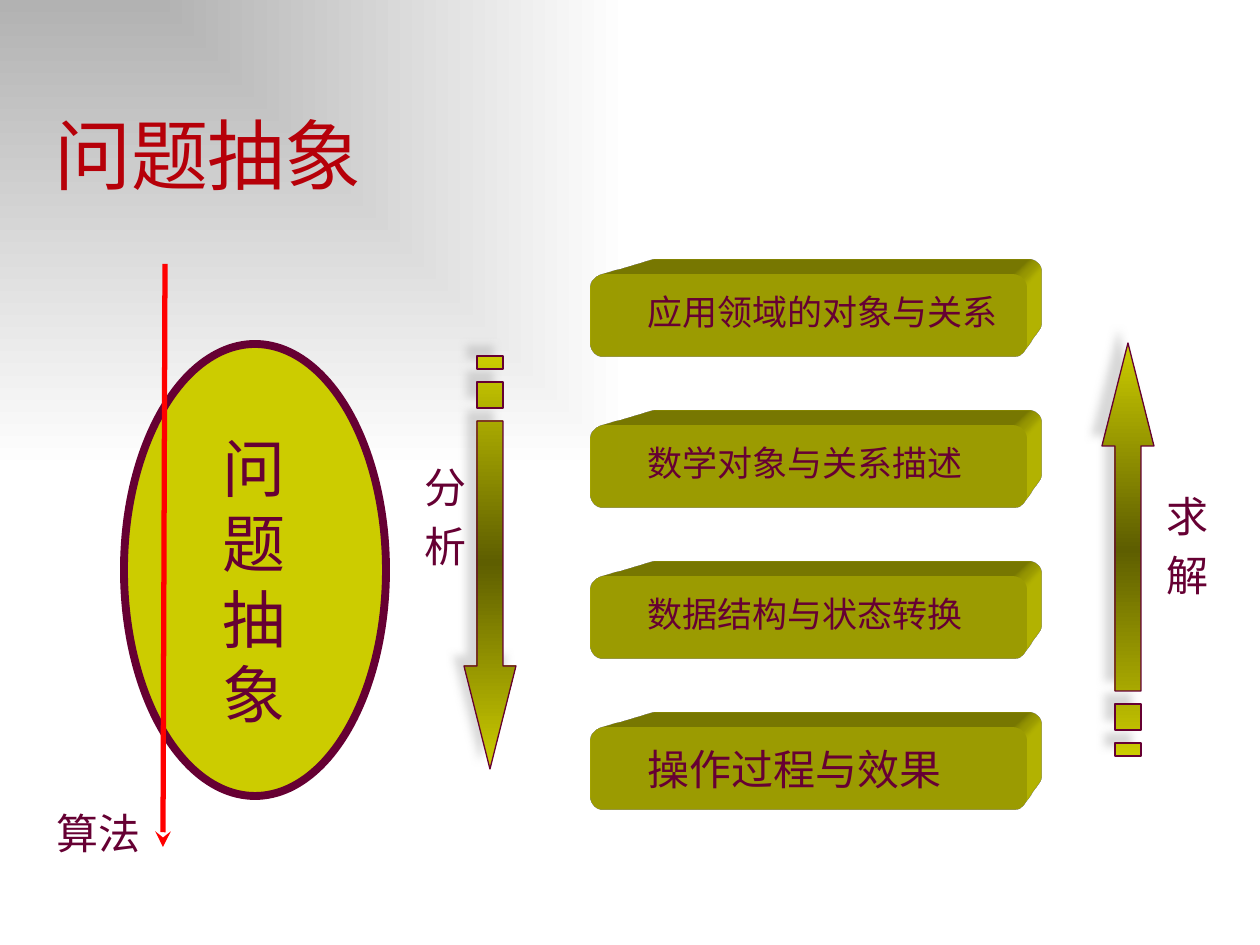
from pptx import Presentation
from pptx.dml.color import RGBColor
from pptx.enum.shapes import MSO_CONNECTOR, MSO_SHAPE
from pptx.enum.text import MSO_ANCHOR, MSO_AUTO_SIZE, PP_ALIGN
from pptx.oxml import parse_xml
from pptx.oxml.ns import nsdecls
from pptx.util import Pt

PX = 914400 / 126
OVAL, ROUNDED = MSO_SHAPE.OVAL, MSO_SHAPE.ROUNDED_RECTANGLE
STRAIGHT = MSO_CONNECTOR.STRAIGHT
LEFT, CENTER = PP_ALIGN.LEFT, PP_ALIGN.CENTER
BOTTOM, NO_FIT = MSO_ANCHOR.BOTTOM, MSO_AUTO_SIZE.NONE
TITLE_RED = RGBColor(0xB6, 0x00, 0x09)
RED = RGBColor(0xFF, 0x00, 0x00)
PLUM = RGBColor(0x66, 0x00, 0x33)
OLIVE = RGBColor(0xCC, 0xCC, 0x00)
DARK_OLIVE = RGBColor(0x5E, 0x5E, 0x00)
GRAY = RGBColor(0xB2, 0xB2, 0xB2)
WHITE = RGBColor(0xFF, 0xFF, 0xFF)
SERIF, SANS = "Times New Roman", "Noto Sans CJK SC"
LAYERS = [("应用领域的对象与关系", 20), ("数学对象与关系描述", 20),
          ("数据结构与状态转换", 20), ("操作过程与效果", 24)]
LAYER_TOP, LAYER_STEP = 275, 151


def px(*lengths):
    """Turn pixel lengths into EMU."""
    return [round(length * PX) for length in lengths]


def set_values(target, values):
    """Set attributes of an object from a dict."""
    for name, value in values.items():
        setattr(target, name, value)


def make_gradient(colors, direction):
    """Return a gradient fill with evenly spread colours."""
    last = len(colors) - 1
    stops = "".join(f'<a:gs pos="{100000 * i // last}"><a:srgbClr val="{color}"/></a:gs>'
                    for i, color in enumerate(colors))
    return parse_xml(f'<a:gradFill {nsdecls("a")} rotWithShape="1">'
                     f'<a:gsLst>{stops}</a:gsLst>{direction}</a:gradFill>')


def set_background(slide):
    """Shade the slide from its top left corner."""
    slide.background.fill.solid()
    solid = slide.background.fill._xPr.find("{*}solidFill")
    direction = '<a:path path="rect"><a:fillToRect r="100000" b="100000"/></a:path>'
    solid.getparent().replace(solid, make_gradient([GRAY, WHITE], direction))


def write(frame, lines, size, color=PLUM, font=SERIF, align=LEFT):
    """Write one formatted paragraph for each line."""
    set_values(frame, {"word_wrap": True, "auto_size": NO_FIT})
    for i, line in enumerate(lines):
        paragraph = frame.paragraphs[0] if i == 0 else frame.add_paragraph()
        paragraph.text = line
        paragraph.alignment = align
        if i:
            paragraph.space_before = Pt(5)
        set_values(paragraph.font, {"size": Pt(size), "name": font})
        paragraph.font.color.rgb = color


def add_title(slide, text):
    """Place and format the title."""
    title = slide.shapes.title
    set_values(title, dict(zip(("left", "top", "width", "height"), px(44, 100, 1191, 105))))
    left, top = px(10, 5)
    set_values(title.text_frame, {"vertical_anchor": BOTTOM, "margin_left": left,
                                  "margin_right": left, "margin_top": top,
                                  "margin_bottom": top})
    write(title.text_frame, [text], 44, TITLE_RED)


def add_label(slide, box, lines, size, **style):
    """Add a wrapped text box."""
    write(slide.shapes.add_textbox(*px(*box)).text_frame, lines, size, **style)


def add_solid(slide, kind, box):
    """Add an olive preset shape."""
    shape = slide.shapes.add_shape(kind, *px(*box))
    shape.shadow.inherit = False
    shape.fill.solid()
    shape.fill.fore_color.rgb = OLIVE
    shape.line.fill.background()
    return shape


def outline(shape, color, width):
    """Give a shape or connector its line."""
    shape.line.color.rgb = color
    shape.line.width = Pt(width)


def add_block(slide, box):
    """Add a rounded block extruded to the top right."""
    properties = add_solid(slide, ROUNDED, box)._element.spPr
    properties.append(parse_xml(
        f'<a:scene3d {nsdecls("a")}><a:camera prst="legacyPerspectiveTopRight"/>'
        '<a:lightRig rig="legacyFlat3" dir="b"/></a:scene3d>'))
    properties.append(parse_xml(
        f'<a:sp3d {nsdecls("a")} extrusionH="887400" prstMaterial="legacyMatte">'
        '<a:bevelT w="13500" h="13500" prst="angle"/>'
        '<a:bevelB w="13500" h="13500" prst="angle"/>'
        f'<a:extrusionClr><a:srgbClr val="{OLIVE}"/></a:extrusionClr></a:sp3d>'))


def add_pointer(slide, start, end):
    """Add a red line ending in a stealth arrowhead."""
    line = slide.shapes.add_connector(STRAIGHT, *px(*start, *end))
    outline(line, RED, 3)
    line.line._get_or_add_ln().append(
        parse_xml(f'<a:tailEnd {nsdecls("a")} type="stealth"/>'))
    line._element.spPr.append(parse_xml(f'<a:effectLst {nsdecls("a")}/>'))


def add_striped_arrow(slide, center, start, direction):
    """Add a vertical arrow with a striped tail; direction is 1 down, -1 up."""
    def points(*pairs):
        return [(center + x, start + direction * y) for x, y in pairs]

    shaft = points((26, 310), (13, 310), (13, 65), (-13, 65),
                   (-13, 310), (-26, 310), (0, 413))
    stripes = [points((13, near), (-13, near), (-13, far), (13, far))
               for near, far in ((26, 52), (0, 13))]
    builder = slide.shapes.build_freeform(*shaft[0], scale=PX)
    builder.add_line_segments(shaft[1:], close=True)
    for stripe in stripes:
        builder.move_to(*stripe[0])
        builder.add_line_segments(stripe[1:], close=True)
    arrow = builder.convert_to_shape()
    arrow.fill.background()
    outline(arrow, PLUM, 0.75)
    arrow.shadow.inherit = False
    properties = arrow._element.spPr
    properties.replace(properties.find("{*}noFill"), make_gradient(
        [OLIVE, DARK_OLIVE, OLIVE], '<a:lin ang="5400000" scaled="0"/>'))
    properties.find("{*}effectLst").append(parse_xml(
        f'<a:outerShdw {nsdecls("a")} blurRad="63500" dist="107950" dir="13500000" '
        f'algn="ctr" rotWithShape="0"><a:srgbClr val="{GRAY}">'
        '<a:alpha val="50000"/></a:srgbClr></a:outerShdw>'))


def main():
    """Build the slide and save it."""
    presentation = Presentation()
    presentation.slide_width, presentation.slide_height = px(1260, 945)
    slide = presentation.slides.add_slide(presentation.slide_layouts[5])
    set_background(slide)
    add_title(slide, "问题抽象")
    outline(add_solid(slide, OVAL, (124, 344, 262, 452)), PLUM, 4.5)
    add_label(slide, (203, 423, 102, 311), ["问题抽象"], 36, font=SANS, align=CENTER)
    add_pointer(slide, (165, 264), (163, 847))
    add_label(slide, (44, 801, 122, 63), ["算法"], 24)
    for i, (text, size) in enumerate(LAYERS):
        top = LAYER_TOP + i * LAYER_STEP
        add_block(slide, (591, top, 435, 82))
        add_label(slide, (635, top + 9, 392, 55), [text], size)
    add_striped_arrow(slide, 490, 356, 1)
    add_label(slide, (412, 455, 52, 131), ["分", "析"], 24)
    add_striped_arrow(slide, 1128, 756, -1)
    add_label(slide, (1154, 484, 52, 131), ["求", "解"], 24)


    presentation.save("out.pptx")


if __name__ == "__main__":
    main()
